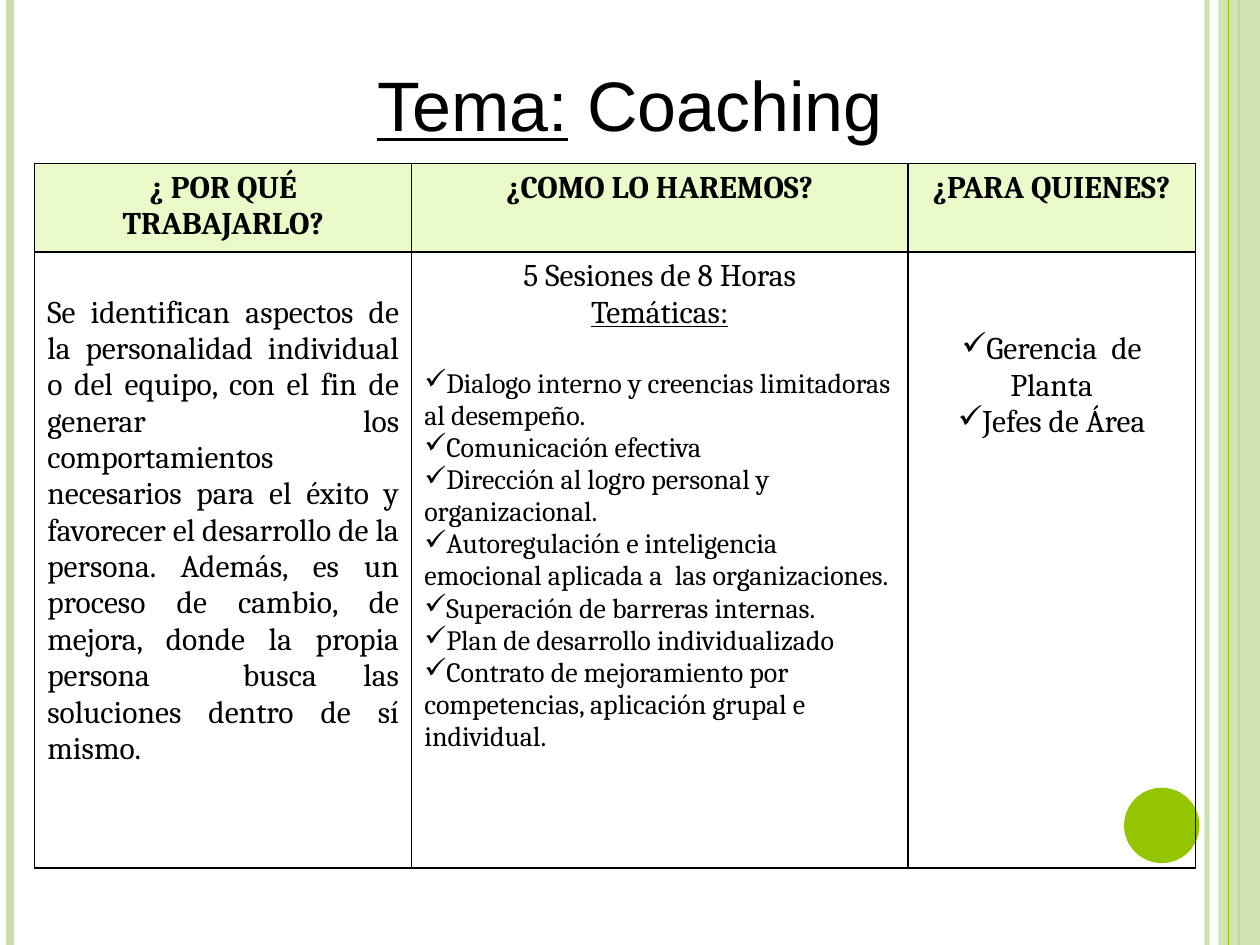
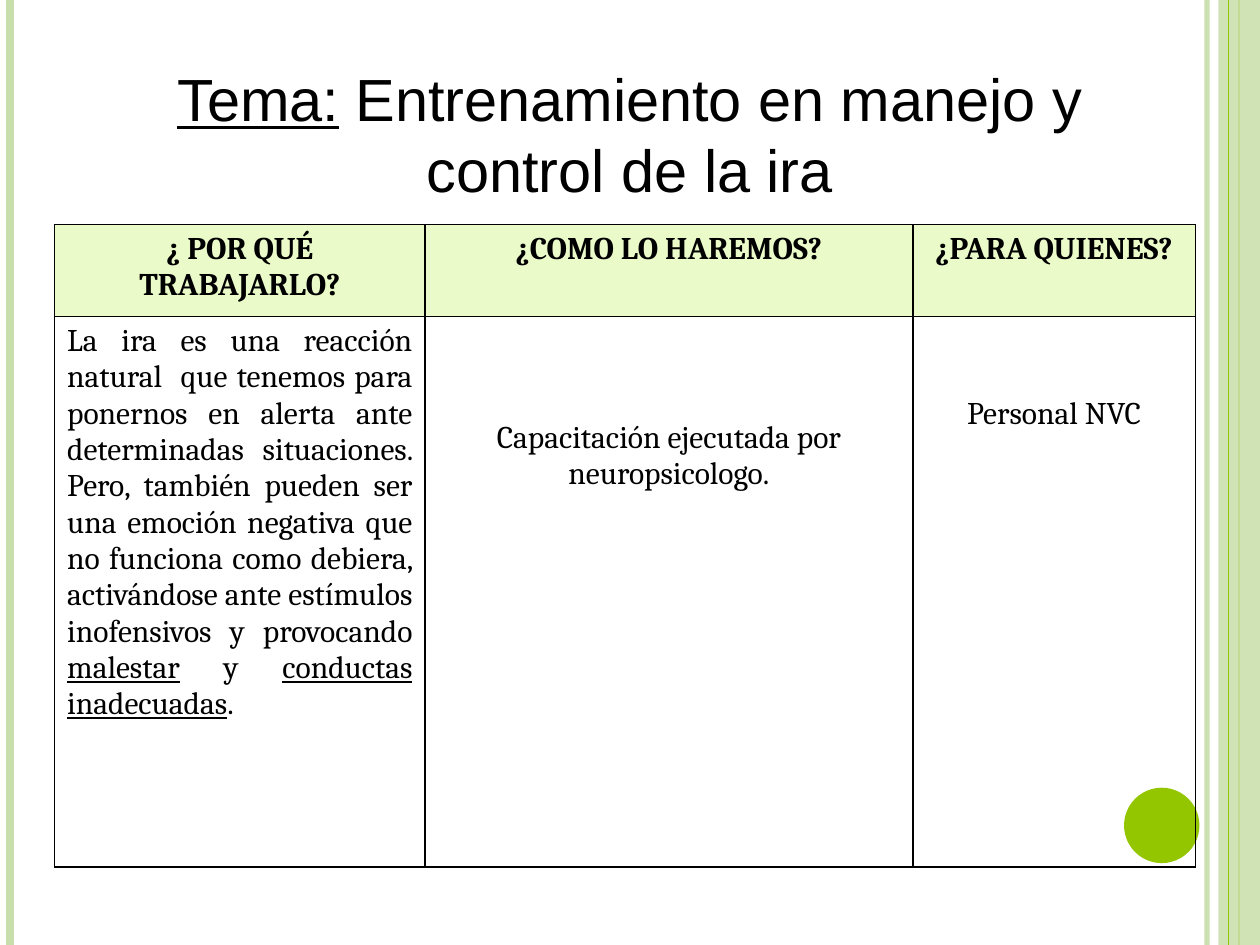
"""Build two training-topic slides, each with a heading and a three-column plan."""
from dataclasses import dataclass

import lxml.etree
import pptx
import pptx.dml.color
import pptx.enum.shapes
import pptx.enum.text
import pptx.oxml
import pptx.oxml.ns
import pptx.util

Cm = pptx.util.Cm
Pt = pptx.util.Pt
qn = pptx.oxml.ns.qn
ALIGN = pptx.enum.text.PP_ALIGN
SHAPES = pptx.enum.shapes.MSO_SHAPE

SLIDE_WIDTH, SLIDE_HEIGHT = 25.4, 19.05
BLACK, LIME, PALE_GREEN, HEADER_GREEN = "000000", "94C600", "C8DFAB", "EAFAC9"
TITLE_FONT, TABLE_FONT = "Arial", "Cambria"
TITLE_TOP = 1.12
HEADERS = ["¿ POR QUÉ TRABAJARLO?", "¿COMO LO HAREMOS?", "¿PARA QUIENES?"]
TOPICS = [
    "Dialogo interno y creencias limitadoras al desempeño.",
    "Comunicación efectiva",
    "Dirección al logro personal y organizacional.",
    "Autoregulación e inteligencia emocional aplicada a  las organizaciones.",
    "Superación de barreras internas.",
    "Plan de desarrollo individualizado",
    "Contrato de mejoramiento por competencias, aplicación grupal e individual.",
]


@dataclass
class Line:
    text: str
    align: ALIGN = ALIGN.CENTER
    size: int = 18
    bold: bool = False
    bullet: bool = False
    before: float = 0
    font: str = TABLE_FONT


@dataclass
class Entry:
    lines: list
    top: float = 0.13


def color(value):
    return pptx.dml.color.RGBColor.from_string(value)


def set_alpha(fill_parent, percent):
    for rgb in fill_parent.iter(qn("a:srgbClr")):
        lxml.etree.SubElement(rgb, qn("a:alpha"), val=str(percent * 1000))


def write_lines(frame, lines):
    for index, line in enumerate(lines):
        paragraph = frame.add_paragraph() if index else frame.paragraphs[0]
        for position, part in enumerate(line.text.split("_")):
            if part:
                run = paragraph.add_run()
                run.text = part
                if position % 2:
                    run.font.underline = True
        paragraph.alignment = line.align
        if line.before:
            paragraph.space_before = Pt(line.before)
        if line.bullet:
            properties = paragraph._p.get_or_add_pPr()
            properties.set("marL", "0")
            properties.set("indent", "0")
            lxml.etree.SubElement(properties, qn("a:buChar"), char="✓")
        paragraph.font.name = line.font
        paragraph.font.size = Pt(line.size)
        paragraph.font.bold = line.bold
        paragraph.font.color.rgb = color(BLACK)


def add_stripe(slide, x, width, stroke, opacity=100):
    stripe = slide.shapes.add_connector(
        pptx.enum.shapes.MSO_CONNECTOR.STRAIGHT, Cm(x), 0, Cm(x), Cm(SLIDE_HEIGHT))
    stripe.line.color.rgb = color(stroke)
    stripe.line.width = Pt(width)
    properties = stripe.element.spPr
    if opacity < 100:
        set_alpha(properties, opacity)
    lxml.etree.SubElement(properties, qn("a:effectLst"))
    return stripe


def add_filled(slide, preset, left, top, width, height, fill, opacity=100):
    filled = slide.shapes.add_shape(preset, Cm(left), Cm(top), Cm(width), Cm(height))
    filled.shadow.inherit = False
    filled.fill.solid()
    filled.fill.fore_color.rgb = color(fill)
    filled.line.fill.background()
    if opacity < 100:
        set_alpha(filled.element.spPr, opacity)
    return filled


def decorate_layout(layout, slide):
    decorations = [
        add_stripe(slide, 24.33, 3, PALE_GREEN, 93),
        add_stripe(slide, 0.21, 4.5, PALE_GREEN),
        add_stripe(slide, 24.98, 1.5, LIME),
        add_filled(slide, SHAPES.RECTANGLE, 24.56, 0, 0.84, SLIDE_HEIGHT, PALE_GREEN, 87),
        add_stripe(slide, 24.77, 0.75, LIME),
        add_filled(slide, SHAPES.OVAL, 22.66, 15.88, 1.52, 1.52, LIME),
    ]
    for number, decoration in enumerate(decorations, 20):
        decoration.element.xpath("./*/p:cNvPr")[0].set("id", str(number))
        layout.shapes.element.append(decoration.element)


def set_title(slide, text, size, width, height):
    title = slide.shapes.title
    title.left, title.top = Cm((SLIDE_WIDTH - width) / 2), Cm(TITLE_TOP)
    title.width, title.height = Cm(width), Cm(height)
    frame = title.text_frame
    frame.word_wrap = True
    frame.auto_size = pptx.enum.text.MSO_AUTO_SIZE.NONE
    frame.vertical_anchor = pptx.enum.text.MSO_ANCHOR.TOP
    write_lines(frame, [Line(text, size=size, font=TITLE_FONT)])


def set_borders(cell):
    properties = cell._tc.get_or_add_tcPr()
    for index, side in enumerate(("lnL", "lnR", "lnT", "lnB")):
        border = pptx.oxml.parse_xml(
            f'<a:{side} {pptx.oxml.ns.nsdecls("a")} w="{Pt(1)}"><a:solidFill>'
            f'<a:srgbClr val="{BLACK}"/></a:solidFill></a:{side}>')
        properties.insert(index, border)


def add_plan(slide, left, top, widths, heights, entries):
    table = slide.shapes.add_table(
        2, len(widths), Cm(left), Cm(top), Cm(sum(widths)), Cm(sum(heights))).table
    table.first_row = table.horz_banding = False
    for row, height in zip(table.rows, heights):
        row.height = Cm(height)
    headers = [Entry([Line(header, bold=True)]) for header in HEADERS]
    for index, width in enumerate(widths):
        table.columns[index].width = Cm(width)
        for row, entry in enumerate((headers[index], entries[index])):
            cell = table.cell(row, index)
            cell.margin_top = Cm(entry.top)
            write_lines(cell.text_frame, entry.lines)
            if row:
                cell.fill.background()
            else:
                cell.fill.solid()
                cell.fill.fore_color.rgb = color(HEADER_GREEN)
            set_borders(cell)


def main():
    deck = pptx.Presentation()
    deck.slide_width, deck.slide_height = Cm(SLIDE_WIDTH), Cm(SLIDE_HEIGHT)
    layout = deck.slide_layouts[5]

    coaching = deck.slides.add_slide(layout)
    decorate_layout(layout, coaching)
    set_title(coaching, "_Tema:_ Coaching", 40, 20.8, 6.76)
    reason = Line(
        "Se identifican aspectos de la personalidad individual o del equipo, con el fin "
        "de generar los comportamientos necesarios para el éxito y favorecer el "
        "desarrollo de la persona. Además, es un proceso de cambio, de mejora, donde la "
        "propia persona  busca las soluciones dentro de sí mismo.", ALIGN.JUSTIFY)
    topics = [Line(topic, ALIGN.LEFT, 16, bullet=True, before=0 if index else 21)
              for index, topic in enumerate(TOPICS)]
    add_plan(coaching, 0.7, 3.3, [7.6, 10, 5.8], [1.78, 12.42], [
        Entry([reason], 0.86),
        Entry([Line("5 Sesiones de 8 Horas"), Line("_Temáticas:_"), *topics]),
        Entry([Line("Gerencia  de Planta", bullet=True),
               Line("Jefes de Área", bullet=True)], 1.6),
    ])

    anger = deck.slides.add_slide(layout)
    set_title(anger, "_Tema:_ Entrenamiento en manejo y control de la ira", 34, 22, 3.18)
    reason = Line(
        "La ira es una reacción natural  que tenemos para ponernos en alerta ante "
        "determinadas situaciones. Pero, también pueden ser una emoción negativa que no "
        "funciona como debiera, activándose ante estímulos inofensivos y provocando "
        "_malestar_ y _conductas inadecuadas_.", ALIGN.JUSTIFY)
    add_plan(anger, 1.1, 4.53, [7.47, 9.83, 5.7], [1.85, 11.1], [
        Entry([reason]),
        Entry([Line("Capacitación ejecutada por neuropsicologo.")], 2.08),
        Entry([Line("Personal NVC")], 1.6),
    ])
    deck.save("out.pptx")


if __name__ == "__main__":
    main()
